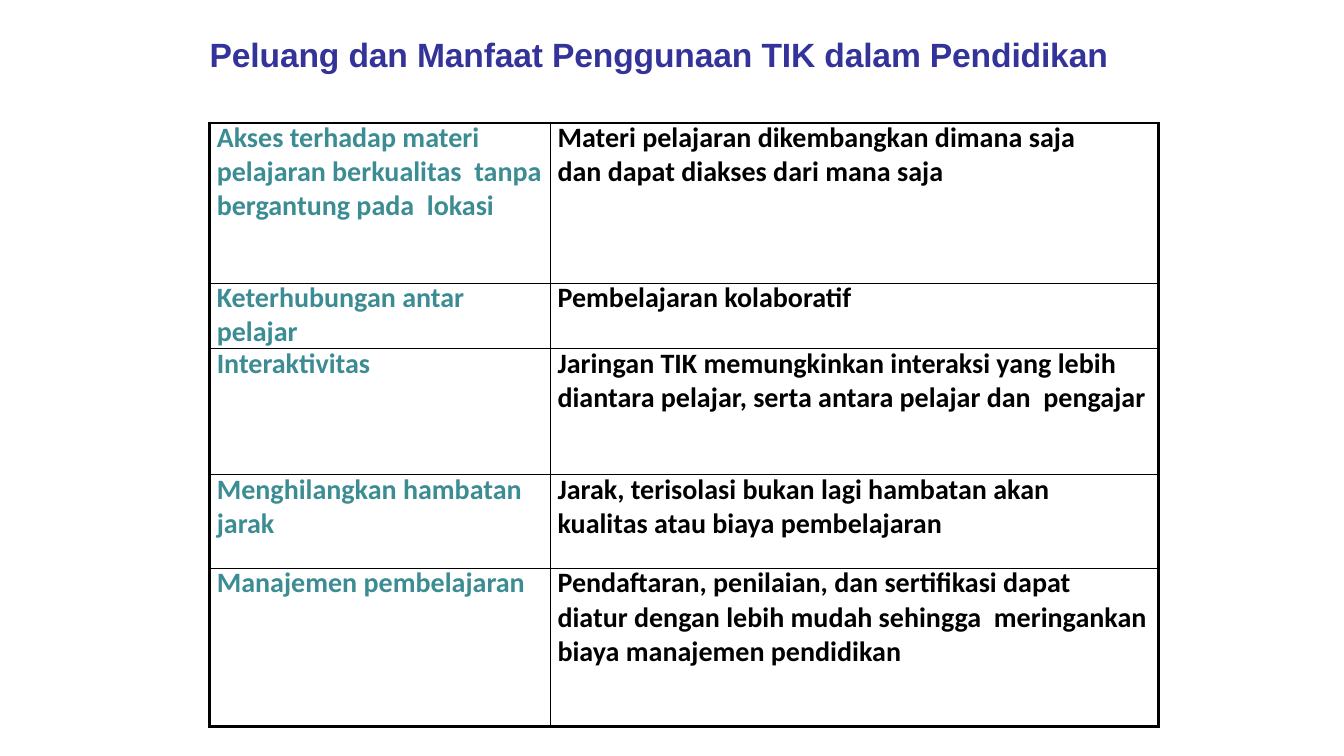
from lxml import etree
from pptx import Presentation
from pptx.dml.color import RGBColor
from pptx.enum.text import MSO_ANCHOR, MSO_AUTO_SIZE, PP_ALIGN
from pptx.oxml.ns import qn
from pptx.util import Inches, Pt

TITLE = "Peluang dan Manfaat Penggunaan TIK dalam Pendidikan"
BENEFITS = [
    (1.59,
     ["Akses terhadap materi",
      "pelajaran berkualitas  tanpa bergantung pada  lokasi"],
     ["Materi pelajaran dikembangkan dimana saja",
      "dan dapat diakses dari mana saja"]),
    (0.63,
     ["Keterhubungan antar", "pelajar"],
     ["Pembelajaran kolaboratif"]),
    (1.25,
     ["Interaktivitas"],
     ["Jaringan TIK memungkinkan interaksi yang lebih",
      "diantara pelajar, serta antara pelajar dan  pengajar"]),
    (0.93,
     ["Menghilangkan hambatan", "jarak"],
     ["Jarak, terisolasi bukan lagi hambatan akan",
      "kualitas atau biaya pembelajaran"]),
    (1.57,
     ["Manajemen pembelajaran"],
     ["Pendaftaran, penilaian, dan sertifikasi dapat",
      "diatur dengan lebih mudah sehingga  meringankan biaya manajemen pendidikan"]),
]


def color(hex_text):
    return RGBColor.from_string(hex_text)


def write(paragraph, text, *, font, size, fill, indent, spacing=None, before=0, tracking=None):
    """Fill a paragraph with one bold, left-aligned run."""
    properties = paragraph._p.get_or_add_pPr()
    properties.set("marL", str(Inches(indent)))
    properties.set("indent", "0")
    paragraph.alignment = PP_ALIGN.LEFT
    paragraph.space_before = Pt(before)
    if spacing:
        paragraph.line_spacing = Pt(spacing)
    run = paragraph.add_run()
    run.text = text
    run.font.name = font
    run.font.size = Pt(size)
    run.font.bold = True
    run.font.color.rgb = color(fill)
    if tracking:
        run.font._element.set("spc", str(round(tracking * 100)))


def set_borders(cell, widths):
    """Draw solid black sides; widths maps L, R, T, B to points."""
    properties = cell._tc.get_or_add_tcPr()
    for side in "LRTB":
        line = etree.SubElement(properties, qn(f"a:ln{side}"), w=str(Pt(widths[side])))
        fill = etree.SubElement(line, qn("a:solidFill"))
        etree.SubElement(fill, qn("a:srgbClr"), val="000000")


class BenefitSlide:
    topic_color = "3C8C93"
    detail_color = "000000"
    outer, inner = 2.25, 1

    def __init__(self, presentation):
        self.slide = presentation.slides.add_slide(presentation.slide_layouts[5])

    def title(self, text, left, top, width, height):
        heading = self.slide.shapes.title
        heading.left, heading.top = Inches(left), Inches(top)
        heading.width, heading.height = Inches(width), Inches(height)
        frame = heading.text_frame
        frame.word_wrap = True
        frame.auto_size = MSO_AUTO_SIZE.SHAPE_TO_FIT_TEXT
        frame.vertical_anchor = MSO_ANCHOR.MIDDLE
        frame.margin_left = frame.margin_right = frame.margin_bottom = 0
        frame.margin_top = Inches(0.01)
        write(frame.paragraphs[0], text, font="Arial", size=24, fill="333399",
              indent=0.01, before=1, tracking=-0.1)

    def cell(self, cell, lines, fill):
        cell.margin_left = cell.margin_right = cell.margin_top = cell.margin_bottom = 0
        cell.vertical_anchor = MSO_ANCHOR.TOP
        frame = cell.text_frame
        for index, text in enumerate(lines):
            paragraph = frame.add_paragraph() if index else frame.paragraphs[0]
            write(paragraph, text, font="Calibri", size=20, fill=fill, indent=0.07,
                  spacing=None if index else 22.8)

    def table(self, rows, left, top, column_widths):
        height = sum(row[0] for row in rows)
        table = self.slide.shapes.add_table(
            len(rows), len(column_widths), Inches(left), Inches(top),
            Inches(sum(column_widths)), Inches(height)).table
        table.first_row = table.horz_banding = False
        for column, width in zip(table.columns, column_widths):
            column.width = Inches(width)
        last_row, last_column = len(rows) - 1, len(column_widths) - 1
        for r, (row_height, *entries) in enumerate(rows):
            table.rows[r].height = Inches(row_height)
            for c, (lines, fill) in enumerate(zip(entries, (self.topic_color, self.detail_color))):
                cell = table.cell(r, c)
                self.cell(cell, lines, fill)
                on_edge = {"L": c == 0, "R": c == last_column, "T": r == 0, "B": r == last_row}
                set_borders(cell, {side: self.outer if edge else self.inner
                                   for side, edge in on_edge.items()})
                cell.fill.background()


def main():
    presentation = Presentation()
    presentation.slide_width, presentation.slide_height = Inches(13.33), Inches(7.5)
    benefits = BenefitSlide(presentation)
    benefits.title(TITLE, 2.07, 0.32, 9, 0.43)
    benefits.table(BENEFITS, 2.08, 1.22, (3.38, 6.03))
    presentation.save("out.pptx")


if __name__ == "__main__":
    main()
